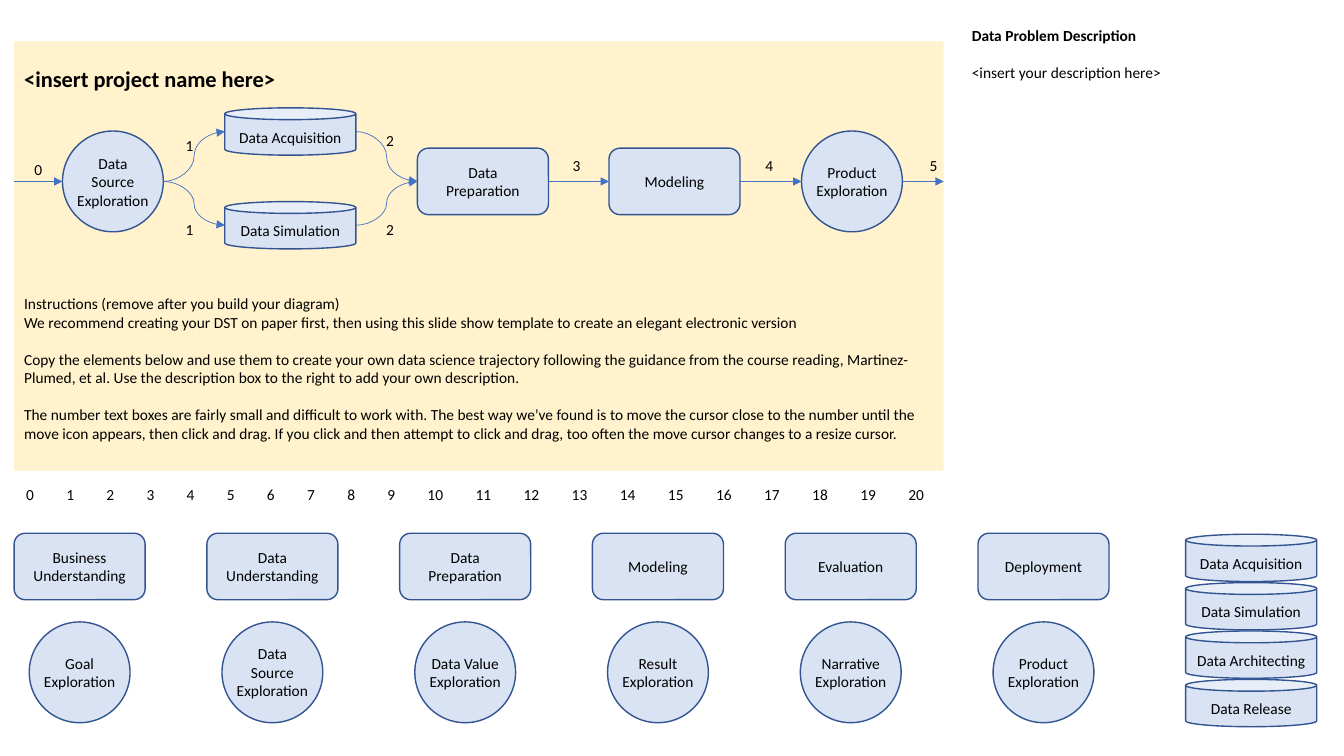
import pptx
import pptx.dml.color
import pptx.enum.shapes
import pptx.enum.text
import pptx.oxml.ns
import pptx.util
from lxml import etree

Inches, Pt = pptx.util.Inches, pptx.util.Pt
ALIGN, ANCHOR = pptx.enum.text.PP_ALIGN, pptx.enum.text.MSO_ANCHOR
AUTO_SIZE = pptx.enum.text.MSO_AUTO_SIZE
SHAPE, CONNECTOR = pptx.enum.shapes.MSO_SHAPE, pptx.enum.shapes.MSO_CONNECTOR
qn = pptx.oxml.ns.qn

# Content
PROJECT_NAME = "<insert project name here>"
# Each paragraph with the points of space before it
INSTRUCTIONS = [
    ("Instructions (remove after you build your diagram)", 0),
    ("We recommend creating your DST on paper first, then using this slide show "
     "template to create an elegant electronic version", 0),
    ("Copy the elements below and use them to create your own data science trajectory "
     "following the guidance from the course reading, Martinez-Plumed, et al. Use the "
     "description box to the right to add your own description.", 13.3),
    ("The number text boxes are fairly small and difficult to work with. The best way "
     "we’ve found is to move the cursor close to the number until the move icon appears, "
     "then click and drag. If you click and then attempt to click and drag, too often "
     "the move cursor changes to a resize cursor.", 13.3),
]
DESCRIPTION = [("Data Problem Description", 0), ("<insert your description here>", 13.3)]
ACTIVITIES = ["Business Understanding", "Data\nUnderstanding", "Data\nPreparation",
              "Modeling", "Evaluation", "Deployment"]
EXPLORATIONS = ["Goal Exploration", "Data Source Exploration", "Data Value Exploration",
                "Result Exploration", "Narrative Exploration", "Product Exploration"]
DATA_STEPS = ["Data Acquisition", "Data Simulation", "Data Architecting", "Data Release"]

# Example trajectory: label, kind, left, top
TRAJECTORY = [
    ("Data Source Exploration", "exploration", 0.62, 1.3),
    ("Data Acquisition", "data", 2.23, 1.07),
    ("Data Simulation", "data", 2.23, 2),
    ("Data\nPreparation", "activity", 4.14, 1.47),
    ("Modeling", "activity", 6.04, 1.47),
    ("Product Exploration", "exploration", 7.95, 1.3),
]
# Pairs of positions in the trajectory; None is the edge of the panel
ARROWS = [(None, 0), (0, 1), (0, 2), (2, 3), (1, 3), (3, 4), (4, 5), (5, None)]
# Transition number, left, top
TRANSITIONS = [(0, 0.34, 1.58), (1, 1.84, 1.35), (1, 1.84, 2.18), (2, 3.83, 1.3),
               (2, 3.83, 2.18), (3, 5.68, 1.55), (4, 7.59, 1.54), (5, 9.22, 1.55)]

# Kind: shape, width, height, top inset, left and right connection sites
KINDS = {
    "activity": (SHAPE.ROUNDED_RECTANGLE, 1.3, 0.66, 0.05, 1, 3),
    "exploration": (SHAPE.OVAL, 1, 1, 0.05, 2, 6),
    "data": (SHAPE.CAN, 1.3, 0.47, 0.1, 2, 4),
}
PANEL = (0.14, 0.41, 9.22, 4.26)
FLOW_Y = 1.8

deck = pptx.Presentation()
deck.slide_width, deck.slide_height = Inches(13.33), Inches(7.5)
slide = deck.slides.add_slide(deck.slide_layouts[5])


def color(value):
    return pptx.dml.color.RGBColor.from_string(value)


def box(*lengths):
    return [Inches(length) for length in lengths]


def write(shape, paragraphs, align=ALIGN.LEFT, anchor=ANCHOR.TOP,
          insets=(0.1, 0.05, 0.1, 0.05), size=11, wrap=True):
    frame = shape.text_frame
    left, top, right, bottom = box(*insets)
    frame_format = {"margin_left": left, "margin_top": top, "margin_right": right,
                    "margin_bottom": bottom, "vertical_anchor": anchor,
                    "word_wrap": wrap, "auto_size": AUTO_SIZE.NONE}
    for name, value in frame_format.items():
        setattr(frame, name, value)
    frame.text = "\n".join(text for text, gap in paragraphs)
    for paragraph, (text, gap) in zip(frame.paragraphs, paragraphs):
        paragraph.alignment = align
        if gap:
            paragraph.space_before = Pt(gap)
        font_format = {"name": "Calibri", "size": Pt(size), "bold": False}
        for name, value in font_format.items():
            setattr(paragraph.font, name, value)
        paragraph.font.color.rgb = color("000000")


def add_element(label, kind, left, top):
    preset, width, height, top_inset, *sites = KINDS[kind]
    element = slide.shapes.add_shape(preset, *box(left, top, width, height))
    element.shadow.inherit = False
    element.fill.solid()
    element.fill.fore_color.rgb = color("DAE3F3")
    element.line.color.rgb = color("325491")
    element.line.width = Pt(1)
    write(element, [(line, 0) for line in label.split("\n")], ALIGN.CENTER,
          ANCHOR.MIDDLE, (0, top_inset, 0, 0.05))
    return element


def add_number(number, left, top):
    label = slide.shapes.add_textbox(*box(left, top, 0.08 * len(str(number)), 0.19))
    write(label, [(str(number), 0)], anchor=ANCHOR.MIDDLE, insets=(0, 0, 0, 0), wrap=False)


def add_arrow(source, target):
    start, end = box(PANEL[0], FLOW_Y), box(PANEL[0] + PANEL[2], FLOW_Y)
    joints = []
    if source is not None:
        shape = steps[source]
        start = [shape.left + shape.width, shape.top + shape.height // 2]
        joints.append(("a:stCxn", shape, KINDS[TRAJECTORY[source][1]][5]))
    if target is not None:
        shape = steps[target]
        end = [shape.left, shape.top + shape.height // 2]
        joints.append(("a:endCxn", shape, KINDS[TRAJECTORY[target][1]][4]))
    level = abs(start[1] - end[1]) < Inches(0.02)
    arrow = slide.shapes.add_connector(
        CONNECTOR.STRAIGHT if level else CONNECTOR.CURVE, *start, *end)
    arrow.line.color.rgb = color("4472C4")
    arrow.line.width = Pt(0.5)
    etree.SubElement(arrow.line._get_or_add_ln(), qn("a:tailEnd"), type="triangle")
    etree.SubElement(arrow._element.spPr, qn("a:effectLst"))
    # Ovals and cans number their connection sites differently from rectangles
    joint_holder = arrow._element.find(".//" + qn("p:cNvCxnSpPr"))
    for tag, shape, site in joints:
        etree.SubElement(joint_holder, qn(tag), id=str(shape.shape_id), idx=str(site))


# Panel with instructions, and the project name on top of it
panel = slide.shapes.add_shape(SHAPE.RECTANGLE, *box(*PANEL))
panel.shadow.inherit = False
panel.fill.solid()
panel.fill.fore_color.rgb = color("FFF2CC")
panel.line.fill.background()
write(panel, INSTRUCTIONS, insets=(0.1, 2.51, 0.1, 0.05))

project_name = slide.shapes.title
slide.shapes._spTree.append(project_name._element)
for side, length in zip(("left", "top", "width", "height"), box(PANEL[0], 0.6, PANEL[2], 0.37)):
    setattr(project_name, side, length)
write(project_name, [(PROJECT_NAME, 0)], size=16)
project_name.text_frame.paragraphs[0].font.bold = True

# Example trajectory
steps = [add_element(*step) for step in TRAJECTORY]
for ends in ARROWS:
    add_arrow(*ends)
for transition in TRANSITIONS:
    add_number(*transition)

# Description
description = slide.shapes.add_textbox(*box(9.54, 0.21, 3.79, 4.95))
write(description, DESCRIPTION, ALIGN.JUSTIFY)
description.text_frame.paragraphs[0].font.bold = True

# Spare numbers: two-digit ones stand wider apart
for number in range(21):
    left = 0.26 + 0.398 * number if number < 10 else 4.24 + 0.477 * (number - 10)
    add_number(number, left, 4.81)

# Spare elements
for column, (activity, exploration) in enumerate(zip(ACTIVITIES, EXPLORATIONS)):
    left = 0.14 + 1.912 * column
    add_element(activity, "activity", left, 5.29)
    add_element(exploration, "exploration", left + 0.15, 6.17)
for row, data_step in enumerate(DATA_STEPS):
    add_element(data_step, "data", 11.76, 5.3 + 0.48 * row)

deck.save("out.pptx")
